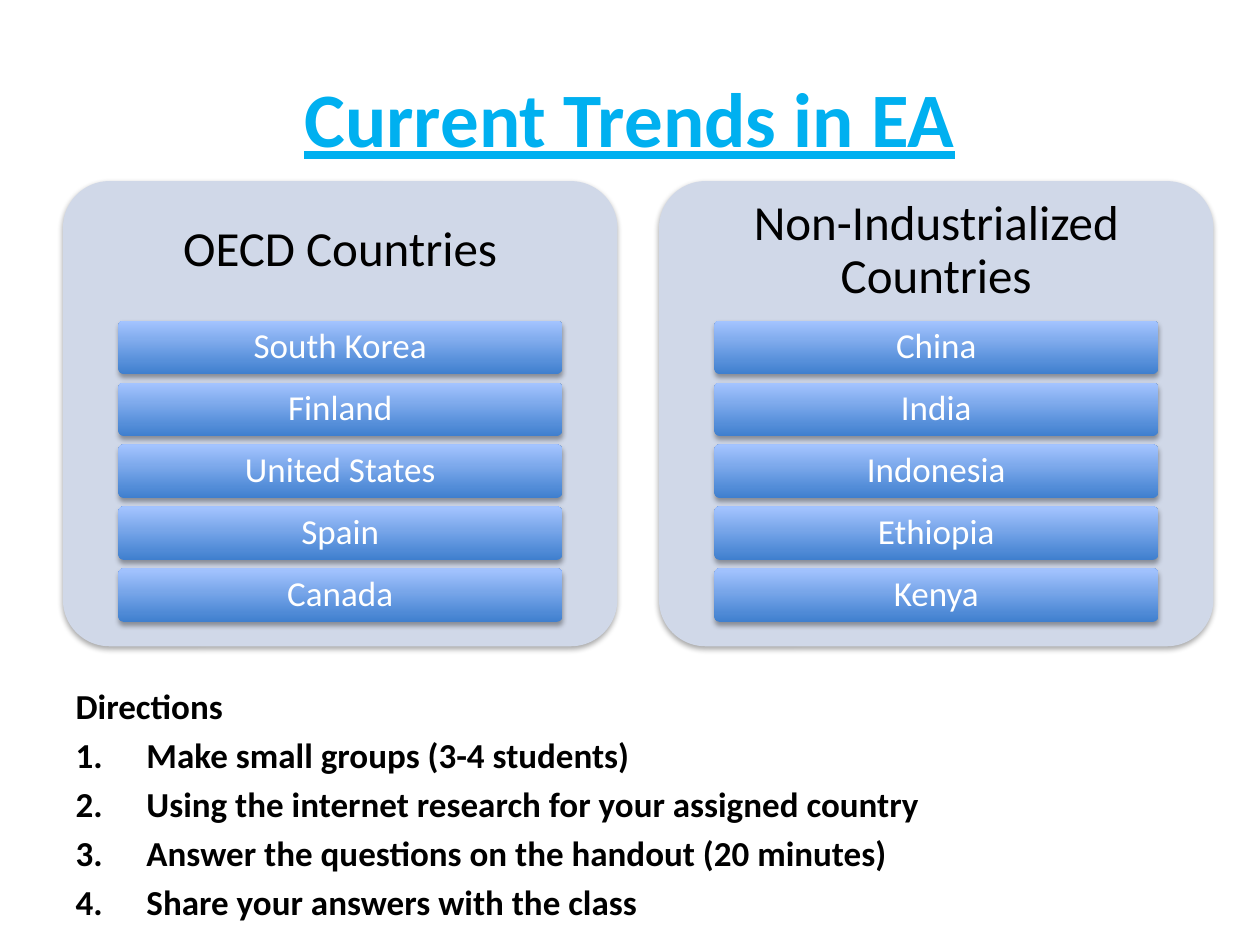
from dataclasses import dataclass

from lxml.etree import SubElement
from pptx import Presentation
from pptx.dml.color import RGBColor
from pptx.enum.shapes import MSO_SHAPE
from pptx.enum.text import MSO_ANCHOR, MSO_AUTO_SIZE, PP_ALIGN
from pptx.oxml.ns import qn
from pptx.util import Pt


@dataclass(frozen=True)
class Theme:
    font: str = "Calibri"
    accent: str = "00B0F0"
    black: str = "000000"
    white: str = "FFFFFF"
    panel: str = "D0D8E8"
    bar_bottom: str = "3F7FCE"
    bar_top: str = "A4C4FF"
    title_size: int = 44
    heading_size: int = 28
    text_size: int = 20


theme = Theme()


def write_text(paragraph, text, size=theme.text_size, color=theme.black, bold=False,
               underline=False, align=PP_ALIGN.LEFT, line_spacing=1.0, space_before=0):
    paragraph.text = text
    paragraph.alignment = align
    paragraph.line_spacing = line_spacing
    paragraph.space_before = Pt(space_before)
    font = paragraph.font
    font.name = theme.font
    font.size = Pt(size)
    font.bold = bold
    font.underline = underline
    font.color.rgb = RGBColor.from_string(color)


def add_card(shapes, left, top, width, height):
    """Add a borderless rounded rectangle with a soft shadow below it."""
    card = shapes.add_shape(MSO_SHAPE.ROUNDED_RECTANGLE, Pt(left), Pt(top), Pt(width), Pt(height))
    card.adjustments[0] = 0.1
    card.line.fill.background()
    card.shadow.inherit = False
    effects = card._element.spPr.find(qn("a:effectLst"))
    shadow = SubElement(effects, qn("a:outerShdw"), blurRad=str(Pt(3.1)), dist=str(Pt(1.8)),
                        dir="5400000", rotWithShape="0")
    color = SubElement(shadow, qn("a:srgbClr"), val=theme.black)
    SubElement(color, qn("a:alpha"), val="35000")
    return card


presentation = Presentation()
presentation.slide_width = Pt(720)
presentation.slide_height = Pt(540)
slide = presentation.slides.add_slide(presentation.slide_layouts[1])

# Title
title = slide.shapes.title
title.left, title.top, title.width, title.height = Pt(36), Pt(21.6), Pt(648), Pt(90)
title.text_frame.vertical_anchor = MSO_ANCHOR.MIDDLE
write_text(title.text_frame.paragraphs[0], "Current Trends in EA", size=theme.title_size,
           color=theme.accent, bold=True, underline=True, align=PP_ALIGN.CENTER)

# Directions
directions = [
    "Directions",
    "Make small groups (3-4 students)",
    "Using the internet research for your assigned country",
    "Answer the questions on the handout (20 minutes)",
    "Share your answers with the class",
]
body = slide.placeholders[1]
body.left, body.top, body.width, body.height = Pt(36), Pt(387.4), Pt(648), Pt(141)
body.text_frame.auto_size = MSO_AUTO_SIZE.NONE
for index, text in enumerate(directions):
    paragraph = body.text_frame.add_paragraph() if index else body.text_frame.paragraphs[0]
    properties = paragraph._p.get_or_add_pPr()
    indent = Pt(40.5) if index else 0
    properties.set("marL", str(indent))
    properties.set("indent", str(-indent))
    if index:
        SubElement(properties, qn("a:buFont"), typeface="+mj-lt")
        SubElement(properties, qn("a:buAutoNum"), type="arabicPeriod")
    else:
        SubElement(properties, qn("a:buNone"))
    write_text(paragraph, text, bold=True, space_before=4 if index else 0)

# Country panels
panels = {
    "OECD Countries": ["South Korea", "Finland", "United States", "Spain", "Canada"],
    "Non-Industrialized Countries": ["China", "India", "Indonesia", "Ethiopia", "Kenya"],
}
panel_left, panel_top, panel_width, panel_height = 36, 103.5, 316.8, 265.8
panel_pitch = 340.6
heading_height = 79.7
bar_height, bar_pitch = 30.6, 35.4
bar_inset = panel_width * 0.1

for column, (heading, countries) in enumerate(panels.items()):
    left = panel_left + column * panel_pitch
    panel = add_card(slide.shapes, left, panel_top, panel_width, panel_height)
    panel.fill.solid()
    panel.fill.fore_color.rgb = RGBColor.from_string(theme.panel)

    heading_box = slide.shapes.add_textbox(Pt(left), Pt(panel_top), Pt(panel_width), Pt(heading_height))
    frame = heading_box.text_frame
    frame.word_wrap = True
    frame.vertical_anchor = MSO_ANCHOR.MIDDLE
    frame.margin_left = frame.margin_right = frame.margin_top = frame.margin_bottom = Pt(8.4)
    write_text(frame.paragraphs[0], heading, size=theme.heading_size,
               align=PP_ALIGN.CENTER, line_spacing=0.9)

    for row, country in enumerate(countries):
        bar = add_card(slide.shapes, left + bar_inset, panel_top + heading_height + row * bar_pitch,
                       panel_width - 2 * bar_inset, bar_height)
        bar.fill.gradient()
        bar.fill.gradient_angle = 90
        for stop, color in zip(bar.fill.gradient_stops, (theme.bar_bottom, theme.bar_top)):
            stop.color.rgb = RGBColor.from_string(color)
        frame = bar.text_frame
        frame.vertical_anchor = MSO_ANCHOR.MIDDLE
        frame.margin_left = frame.margin_right = Pt(5)
        frame.margin_top = frame.margin_bottom = Pt(3)
        write_text(frame.paragraphs[0], country, color=theme.white,
                   align=PP_ALIGN.CENTER, line_spacing=0.9)

presentation.save("out.pptx")
